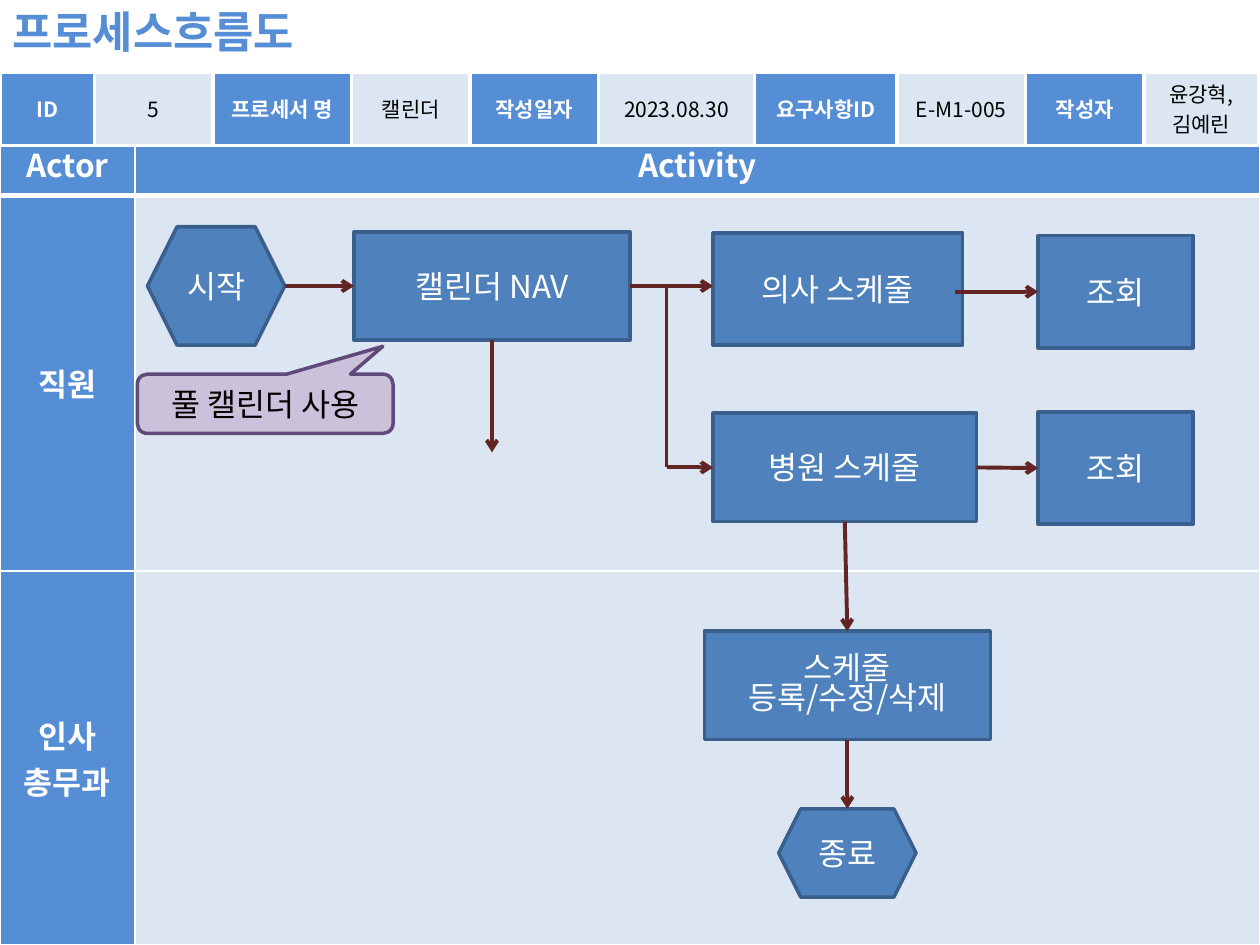
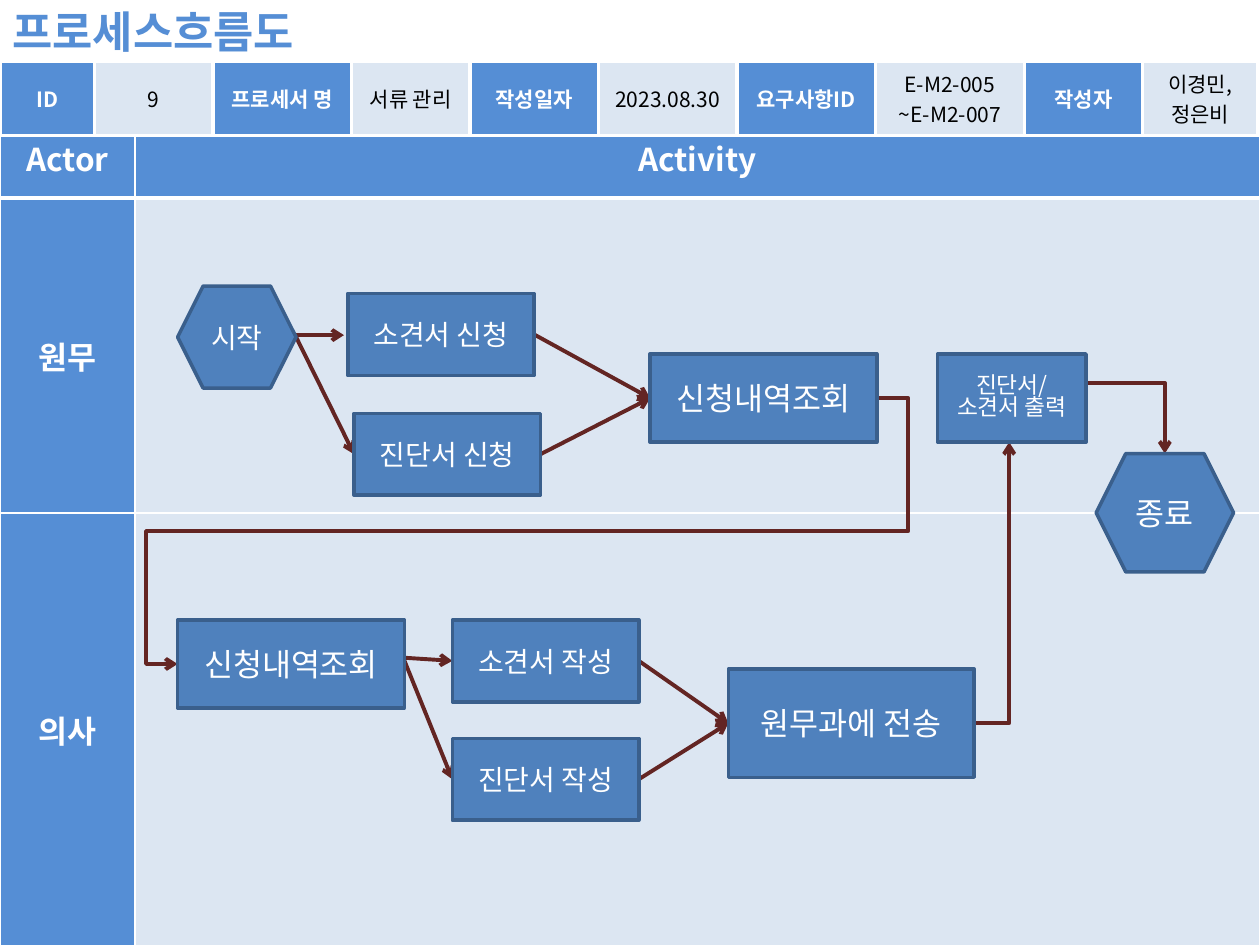
from typing import NamedTuple

from lxml.etree import SubElement
from pptx import Presentation
from pptx.dml.color import RGBColor
from pptx.enum.shapes import MSO_CONNECTOR, MSO_SHAPE
from pptx.enum.text import MSO_ANCHOR, MSO_AUTO_SIZE, PP_ALIGN
from pptx.oxml import parse_xml
from pptx.oxml.ns import nsdecls, qn
from pptx.util import Inches, Pt

FONT = "Noto Sans CJK KR"
WHITE = RGBColor(0xFF, 0xFF, 0xFF)
BLACK = RGBColor(0x00, 0x00, 0x00)
BAND_BLUE = RGBColor(0x55, 0x8E, 0xD5)
PALE_BLUE = RGBColor(0xDC, 0xE6, 0xF2)
NODE_BLUE = RGBColor(0x4F, 0x81, 0xBD)
NODE_EDGE = RGBColor(0x3A, 0x5F, 0x8C)
ARROW_RED = RGBColor(0x63, 0x25, 0x23)
NOTE_FILL = RGBColor(0xCC, 0xC1, 0xDA)
NOTE_EDGE = RGBColor(0x60, 0x4A, 0x7B)

# The slide is a grid of 100 columns by 75 rows
COLUMNS, ROWS = 100, 75
WIDTH, HEIGHT = Inches(10), Inches(7.5)
ACTOR_COLUMNS = 10.7
INFO_LABELS = ["ID", "프로세서 명", "작성일자", "요구사항ID", "작성자"]


def across(columns):
    return round(columns * WIDTH / COLUMNS)


def down(rows):
    return round(rows * HEIGHT / ROWS)


class Box(NamedTuple):
    """A box in grid units, with the middle of each side."""
    left: float
    top: float
    width: float
    height: float

    @property
    def right_side(self):
        return self.left + self.width, self.top + self.height / 2

    @property
    def left_side(self):
        return self.left, self.top + self.height / 2

    @property
    def top_side(self):
        return self.left + self.width / 2, self.top

    @property
    def bottom_side(self):
        return self.left + self.width / 2, self.top + self.height

    def place(self):
        return across(self.left), down(self.top), across(self.width), down(self.height)


def write(text_frame, text, size=18, color=WHITE, bold=False,
          align=PP_ALIGN.CENTER, line_spacing=None):
    """Write one paragraph for each line of the text."""
    for index, line in enumerate(text.split("\n")):
        paragraph = text_frame.paragraphs[0] if index == 0 else text_frame.add_paragraph()
        paragraph.alignment = align
        paragraph.line_spacing = line_spacing
        run = paragraph.add_run()
        run.text = line
        font = run.font
        font.name, font.size, font.bold = FONT, Pt(size), bold
        font.color.rgb = color
        east_asian = SubElement(run._r.rPr, qn("a:ea"), typeface=FONT)
        run._r.rPr.find(qn("a:latin")).addnext(east_asian)


def add_title(slide, text):
    title = slide.shapes.title
    title.left, title.top, title.width, title.height = Box(0, -0.1, 26.6, 5.2).place()
    frame = title.text_frame
    frame.word_wrap = False
    frame.auto_size = MSO_AUTO_SIZE.NONE
    frame.vertical_anchor = MSO_ANCHOR.TOP
    write(frame, text, size=25, color=BAND_BLUE, bold=True, align=PP_ALIGN.LEFT)


def add_grid(slide, box, columns, rows):
    """Add a plain table with the given column widths and row heights."""
    frame = slide.shapes.add_table(len(rows), len(columns), *box.place())
    table = frame.table
    table.first_row = table.horz_banding = False
    for column, width in zip(table.columns, columns):
        column.width = across(width)
    for row, height in zip(table.rows, rows):
        row.height = down(height)
    frame.height = down(box.height)
    return table


def format_cell(cell, fill, border, bottom=None, anchor=MSO_ANCHOR.MIDDLE):
    cell.fill.solid()
    cell.fill.fore_color.rgb = fill
    cell.vertical_anchor = anchor
    widths = {"lnL": border, "lnR": border, "lnT": border, "lnB": bottom or border}
    for index, (edge, width) in enumerate(widths.items()):
        cell._tc.tcPr.insert(index, parse_xml(
            f'<a:{edge} {nsdecls("a")} w="{Pt(width)}"><a:solidFill>'
            f'<a:srgbClr val="{WHITE}"/></a:solidFill></a:{edge}>'))


def add_info_band(slide, top, columns, values):
    """Add the row of alternating labels and values."""
    table = add_grid(slide, Box(0, top, COLUMNS, 5), columns, [4.5])
    for index, (label, value) in enumerate(zip(INFO_LABELS, values)):
        label_cell, value_cell = table.cell(0, 2 * index), table.cell(0, 2 * index + 1)
        format_cell(label_cell, BAND_BLUE, 2.25)
        write(label_cell.text_frame, label, size=12, bold=True)
        format_cell(value_cell, PALE_BLUE, 2.25)
        write(value_cell.text_frame, value, size=12, color=BLACK)


def add_lanes(slide, top, rows, actors):
    """Add the actor lanes and return the corner of the activity area."""
    columns = [ACTOR_COLUMNS, COLUMNS - ACTOR_COLUMNS]
    table = add_grid(slide, Box(0, top, COLUMNS, sum(rows)), columns, rows)
    for cell, heading in zip(table.rows[0].cells, ["Actor", "Activity"]):
        format_cell(cell, BAND_BLUE, 1, bottom=3, anchor=MSO_ANCHOR.TOP)
        write(cell.text_frame, heading, bold=True)
    for row, actor in enumerate(actors, start=1):
        format_cell(table.cell(row, 0), BAND_BLUE, 1)
        write(table.cell(row, 0).text_frame, actor, bold=True)
        format_cell(table.cell(row, 1), PALE_BLUE, 1)
    return ACTOR_COLUMNS, top + rows[0]


class Flow:
    """Draws steps and arrows relative to the corner of an activity area."""

    def __init__(self, slide, corner):
        self.shapes = slide.shapes
        self.left, self.top = corner

    def step(self, box, text, kind=MSO_SHAPE.RECTANGLE, size=18,
             fill=NODE_BLUE, edge=NODE_EDGE, color=WHITE):
        moved = box._replace(left=box.left + self.left, top=box.top + self.top)
        shape = self.shapes.add_shape(kind, *moved.place())
        shape.shadow.inherit = False
        shape.fill.solid()
        shape.fill.fore_color.rgb = fill
        shape.line.color.rgb = edge
        shape.line.width = Pt(2)
        shape.text_frame.word_wrap = True
        shape.text_frame.vertical_anchor = MSO_ANCHOR.MIDDLE
        write(shape.text_frame, text, size=size, color=color,
              line_spacing=0.8 if "\n" in text else None)
        return shape

    def link(self, start, end, arrow=True, bend=None, adjustments=()):
        """Join two points; bend names the preset of an elbow connector."""
        kind = MSO_CONNECTOR.ELBOW if bend else MSO_CONNECTOR.STRAIGHT
        ends = [length for x, y in (start, end)
                for length in (across(x + self.left), down(y + self.top))]
        connector = self.shapes.add_connector(kind, *ends)
        connector.line.color.rgb = ARROW_RED
        connector.line.width = Pt(2.25)
        properties = connector._element.spPr
        if arrow:
            SubElement(properties.find(qn("a:ln")), qn("a:tailEnd"), type="arrow")
        SubElement(properties, qn("a:effectLst"))
        if bend:
            geometry = properties.find(qn("a:prstGeom"))
            geometry.set("prst", bend)
            for index, value in enumerate(adjustments, start=1):
                SubElement(geometry.find(qn("a:avLst")), qn("a:gd"),
                           name=f"adj{index}", fmla=f"val {value}")


def add_calendar_flow(slide, corner):
    flow = Flow(slide, corner)
    start = Box(1, 2.5, 10.9, 9.4)
    calendar = Box(17.4, 2.9, 21.9, 8.6)
    doctor = Box(45.9, 3, 19.8, 8.9)
    doctor_view = Box(71.7, 3.2, 12.3, 8.9)
    hospital = Box(45.9, 17.3, 20.9, 8.6)
    hospital_view = Box(71.7, 17.2, 12.3, 8.9)
    edit = Box(45.2, 34.6, 22.7, 8.6)
    finish = Box(51.1, 48.7, 10.9, 7)

    # Steps
    flow.step(start, "시작", MSO_SHAPE.HEXAGON)
    flow.step(finish, "종료", MSO_SHAPE.HEXAGON)
    for box, text in [(calendar, "캘린더 NAV"), (doctor, "의사 스케줄"),
                      (doctor_view, "조회"), (hospital, "병원 스케줄"),
                      (hospital_view, "조회"), (edit, "스케줄\n등록/수정/삭제")]:
        flow.step(box, text)

    # Note on the calendar
    note = flow.step(Box(0.2, 14.2, 20.3, 4.7), "풀 캘린더 사용",
                     MSO_SHAPE.ROUNDED_RECTANGULAR_CALLOUT,
                     fill=NOTE_FILL, edge=NOTE_EDGE, color=BLACK)
    note.adjustments[0], note.adjustments[1] = 0.46, -0.97

    # Arrows, with a branch from the calendar to the hospital schedule
    branch_top = (42.2, calendar.right_side[1])
    branch_bottom = (42.2, hospital.left_side[1])
    flow.link(branch_top, branch_bottom, arrow=False)
    for begin, end in [
            (start.right_side, calendar.left_side),
            (calendar.right_side, (doctor.left, calendar.right_side[1])),
            (calendar.bottom_side, (calendar.bottom_side[0], 20.4)),
            ((65.1, doctor_view.left_side[1]), doctor_view.left_side),
            (branch_bottom, hospital.left_side),
            (hospital.right_side, hospital_view.left_side),
            (hospital.bottom_side, edit.top_side),
            (edit.bottom_side, finish.top_side)]:
        flow.link(begin, end)


def add_document_flow(slide, corner):
    flow = Flow(slide, corner)
    start = Box(3.4, 7, 9.4, 8.1)
    opinion_request = Box(16.9, 7.6, 14.8, 6.5)
    diagnosis_request = Box(17.4, 17.1, 14.8, 6.5)
    office_inquiry = Box(40.9, 12.4, 18, 7)
    doctor_inquiry = Box(3.4, 33.5, 18, 7)
    opinion_writing = Box(25.2, 33.5, 14.8, 6.5)
    diagnosis_writing = Box(25.2, 42.9, 14.8, 6.5)
    sending = Box(47.1, 37.4, 19.5, 8.6)
    printing = Box(63.7, 12.4, 11.8, 7)
    finish = Box(76.3, 20.3, 10.9, 9.4)

    # Arrows, drawn beneath the steps
    for begin, end in [
            ((12.7, 10.9), (16.6, 10.9)),
            (start.right_side, diagnosis_request.left_side),
            (opinion_request.right_side, office_inquiry.left_side),
            (diagnosis_request.right_side, office_inquiry.left_side),
            ((21.3, 36.5), opinion_writing.left_side),
            ((21.3, 36.5), diagnosis_writing.left_side),
            (opinion_writing.right_side, sending.left_side),
            (diagnosis_writing.right_side, sending.left_side)]:
        flow.link(begin, end)
    flow.link(office_inquiry.right_side, doctor_inquiry.left_side,
              bend="bentConnector5", adjustments=(-4500, 50000, 104500))
    flow.link((66.1, sending.right_side[1]), (69.4, 19.4), bend="bentConnector2")
    flow.link((70.9, 14.7), finish.top_side, bend="bentConnector2")

    # Steps
    flow.step(start, "시작", MSO_SHAPE.HEXAGON, size=16)
    flow.step(finish, "종료", MSO_SHAPE.HEXAGON)
    for box, text, size in [
            (opinion_request, "소견서 신청", 16), (diagnosis_request, "진단서 신청", 16),
            (office_inquiry, "신청내역조회", 18), (doctor_inquiry, "신청내역조회", 18),
            (opinion_writing, "소견서 작성", 16), (diagnosis_writing, "진단서 작성", 16),
            (printing, "진단서/\n소견서 출력", 13), (sending, "원무과에 전송", 18)]:
        flow.step(box, text, size=size)


def add_process_slide(presentation, lanes, info, add_flow):
    slide = presentation.slides.add_slide(presentation.slide_layouts[5])
    add_title(slide, "프로세스흐름도")
    corner = add_lanes(slide, **lanes)
    add_info_band(slide, **info)
    add_flow(slide, corner)


def main():
    presentation = Presentation()
    presentation.slide_width, presentation.slide_height = WIDTH, HEIGHT
    add_process_slide(
        presentation,
        dict(top=10.7, rows=[4.8, 29.8, 29.7], actors=["직원", "인사\n총무과"]),
        dict(top=5.7, columns=[7.5, 9.4, 11, 9.4, 10.2, 12.4, 11.3, 10.2, 9.4, 9.1],
             values=["5", "캘린더", "2023.08.30", "E-M1-005", "윤강혁,\n김예린"]),
        add_calendar_flow)
    add_process_slide(
        presentation,
        dict(top=10.2, rows=[5.5, 25, 34.4], actors=["원무", "의사"]),
        dict(top=4.9, columns=[7.5, 9.4, 11, 9.4, 10.2, 11, 11, 11.8, 9.4, 9.1],
             values=["9", "서류 관리", "2023.08.30", "E-M2-005\n~E-M2-007", "이경민, 정은비"]),
        add_document_flow)
    presentation.save("out.pptx")


if __name__ == "__main__":
    main()
